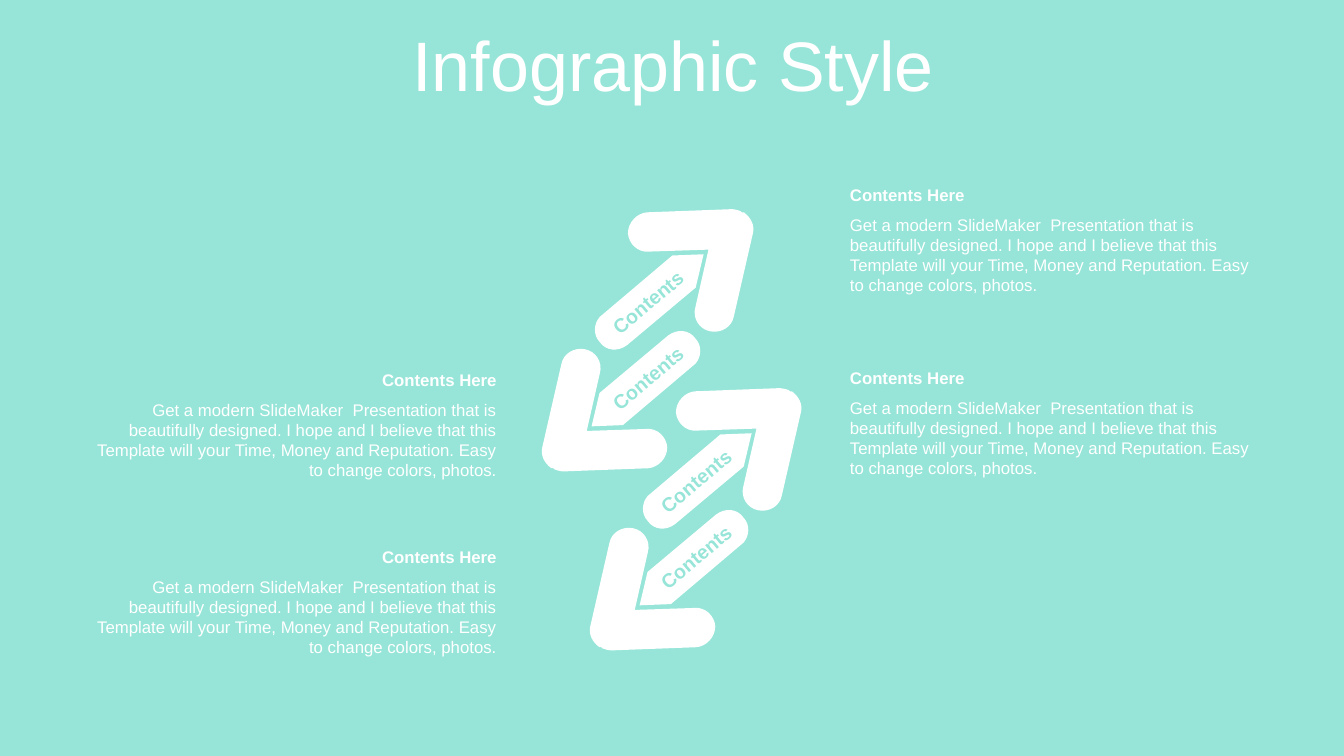
"""Build an infographic slide with two pairs of interlocking arrows and four text blocks."""
import math

import pptx
import pptx.dml.color
import pptx.enum.text
import pptx.oxml.ns
import pptx.util

Cm = pptx.util.Cm
ALIGN = pptx.enum.text.PP_ALIGN
AUTO_SIZE = pptx.enum.text.MSO_AUTO_SIZE
MINT = "96E5D8"
WHITE = "FFFFFF"
BODY = (
    "Get a modern SlideMaker  Presentation that is beautifully designed. "
    "I hope and I believe that this Template will your Time, Money and Reputation. "
    "Easy to change colors, photos."
)


def color(value):
    """Turn a hex string into a colour."""
    return pptx.dml.color.RGBColor.from_string(value)


def write_text(shape, text, size=12, fill=WHITE, bold=False, align=ALIGN.LEFT,
               fit=AUTO_SIZE.SHAPE_TO_FIT_TEXT):
    """Write one formatted paragraph into a shape and return the paragraph."""
    shape.text_frame.word_wrap = True
    shape.text_frame.auto_size = fit
    paragraph = shape.text_frame.paragraphs[0]
    paragraph.alignment = align
    run = paragraph.add_run()
    run.text = text
    run.font.name = "Arial"
    run.font.size = pptx.util.Pt(size)
    run.font.bold = bold
    run.font.color.rgb = color(fill)
    return paragraph


presentation = pptx.Presentation()
presentation.slide_width = Cm(33.87)
presentation.slide_height = Cm(19.05)
slide = presentation.slides.add_slide(presentation.slide_layouts[5])
slide.background.fill.solid()
slide.background.fill.fore_color.rgb = color(MINT)

title = slide.shapes.title
title.left, title.top, title.width, title.height = Cm(0.89), Cm(0.79), Cm(32.16), Cm(2)
title.text_frame.vertical_anchor = pptx.enum.text.MSO_ANCHOR.MIDDLE
heading = write_text(
    title, "Infographic Style", size=50, align=ALIGN.CENTER, fit=AUTO_SIZE.NONE
)
heading.line_spacing = 0.8
heading.space_before = pptx.util.Pt(10)

arrow_head = [
    [(18.95, 5.89)],
    [(18.47, 7.98)],
    [(18.42, 8.26), (18.14, 8.41), (17.88, 8.36)],
    [(17.6, 8.31), (17.42, 8.03), (17.5, 7.75)],
    [(17.83, 6.3)],
    [(16.33, 6.35)],
    [(16.05, 6.38), (15.82, 6.15), (15.8, 5.89)],
    [(15.8, 5.61), (16.03, 5.38), (16.28, 5.36)],
    [(18.42, 5.28)],
    [(18.49, 5.28), (18.59, 5.31), (18.64, 5.33)],
    [(18.64, 5.33), (18.67, 5.33), (18.67, 5.36)],
    [(18.69, 5.36), (18.69, 5.36), (18.72, 5.36)],
    [(18.9, 5.49), (19, 5.69), (18.95, 5.89)],
]
arrow_shaft = [
    [(17.73, 6.4)],
    [(17.53, 7.24)],
    [(15.8, 8.69)],
    [(15.57, 8.86), (15.27, 8.84), (15.11, 8.61)],
    [(14.94, 8.43), (14.96, 8.15), (15.11, 7.98)],
    [(16.94, 6.43)],
]
arrow_parts = [
    (arrow_head, 17.21, 6.59, 102.9),
    (arrow_shaft, 16.42, 7.53, 50),
]
label_x, label_y = 16.33, 7.62
label_width, label_height = 3.68, 0.86
mirror_x, mirror_y = 32.64, 17.15

for shift_x, shift_y in [(0, 0), (1.21, 4.51)]:
    for half_turn in (0, 180):
        for outline, center_x, center_y, angle in arrow_parts:
            cosine = math.cos(math.radians(angle))
            sine = math.sin(math.radians(angle))
            vertices = [
                (Cm(20 + x * cosine + y * sine), Cm(20 - x * sine + y * cosine))
                for segment in outline
                for x, y in segment
            ]
            builder = slide.shapes.build_freeform(*vertices[0])
            builder.add_line_segments(vertices[1:], close=True)
            part = builder.convert_to_shape()

            lines = part.element.findall(".//" + pptx.oxml.ns.qn("a:lnTo"))
            position = 0
            for segment in outline[1:]:
                if len(segment) == 3:
                    first, *others = lines[position:position + 3]
                    first.tag = pptx.oxml.ns.qn("a:cubicBezTo")
                    for line in others:
                        first.append(line[0])
                        line.getparent().remove(line)
                position += len(segment)

            if half_turn:
                center_x, center_y = mirror_x - center_x, mirror_y - center_y
            part.left = Cm(center_x + shift_x) - part.width // 2
            part.top = Cm(center_y + shift_y) - part.height // 2
            part.rotation = angle + half_turn
            part.shadow.inherit = False
            part.fill.solid()
            part.fill.fore_color.rgb = color(WHITE)
            part.line.fill.background()

        label_middle = mirror_y - label_y if half_turn else label_y
        label = slide.shapes.add_textbox(
            Cm(label_x + shift_x - label_width / 2),
            Cm(label_middle + shift_y - label_height / 2),
            Cm(label_width),
            Cm(label_height),
        )
        label.rotation = 320
        write_text(label, "Contents", size=14, fill=MINT, bold=True, align=ALIGN.CENTER)

text_blocks = [
    (21.17, 4.53, 10.85, ALIGN.LEFT),
    (21.17, 9.14, 10.85, ALIGN.LEFT),
    (2.15, 9.19, 10.62, ALIGN.RIGHT),
    (2.15, 13.65, 10.62, ALIGN.RIGHT),
]
for left, top, width, align in text_blocks:
    block_body = slide.shapes.add_textbox(Cm(left), Cm(top + 0.75), Cm(width), Cm(2.31))
    write_text(block_body, BODY, align=align)
    block_heading = slide.shapes.add_textbox(Cm(left), Cm(top), Cm(width), Cm(0.76))
    write_text(block_heading, "Contents Here", bold=True, align=align)

presentation.save("out.pptx")
